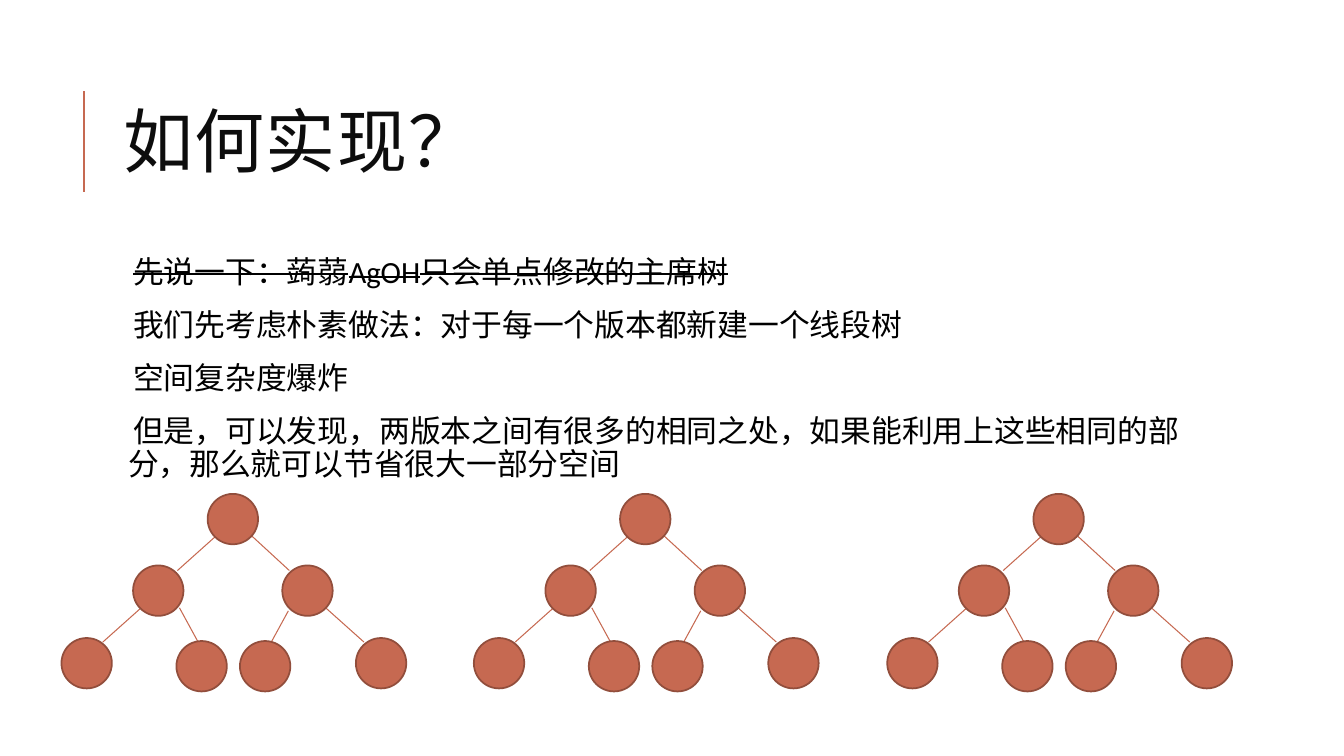
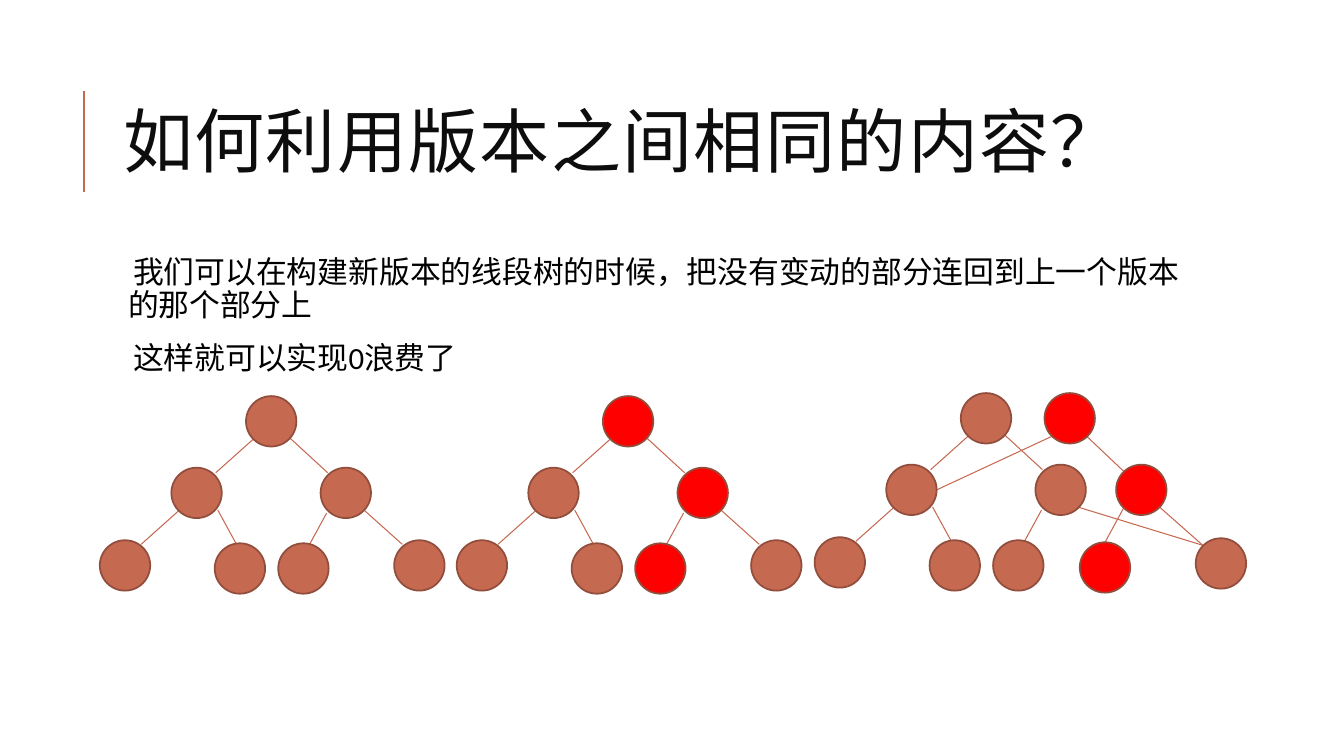
import pptx
import pptx.util
import pptx.dml.color
import pptx.enum.dml
import pptx.enum.lang
import pptx.enum.shapes
import pptx.enum.text
import pptx.oxml
from dataclasses import dataclass

Inches, Pt = pptx.util.Inches, pptx.util.Pt


@dataclass(frozen=True)
class Theme:
    rust: str = "C66951"
    rim: str = "924E3C"
    red: str = "FF0000"
    ink: str = "0D0D0D"
    black: str = "000000"
    head_font: str = "Cabin"
    body_font: str = "Calibri"
    head_size: float = 50
    body_size: float = 22
    rule: float = 1.5
    edge: float = 0.75
    ring: float = 1.25


look = Theme()

# Content: a tree is (left and top of its root, red nodes, has a new version)
pages = [
    dict(
        title="如何实现？",
        lines=[
            ("先说一下：蒟蒻AgOH只会单点修改的主席树", True),
            ("我们先考虑朴素做法：对于每一个版本都新建一个线段树", False),
            ("空间复杂度爆炸", False),
            ("但是，可以发现，两版本之间有很多的相同之处，"
             "如果能利用上这些相同的部分，那么就可以节省很大一部分空间", False),
        ],
        trees=[((2.06, 4.9), "", False), ((6.15, 4.9), "", False),
               ((10.25, 4.9), "", False)],
    ),
    dict(
        title="如何利用版本之间相同的内容？",
        lines=[
            ("我们可以在构建新版本的线段树的时候，"
             "把没有变动的部分连回到上一个版本的那个部分上", False),
            ("这样就可以实现0浪费了", False),
        ],
        trees=[((2.44, 3.93), "", False),
               ((5.98, 3.93), ("root", "right", "rl"), False),
               ((9.53, 3.9), ("new root", "new right", "new leaf"), True)],
    ),
]

# Tree geometry, counted from the left and top of the root
size = 0.5
nodes = {"root": (0, 0), "left": (-0.74, 0.71), "right": (0.74, 0.71),
         "ll": (-1.45, 1.43), "lr": (-0.31, 1.46),
         "rl": (0.32, 1.46), "rr": (1.47, 1.43)}
edges = {"left": (0.08, 0.42, -0.3, 0.76), "right": (0.44, 0.42, 0.81, 0.76),
         "ll": (-0.66, 1.13, -1.04, 1.47), "lr": (-0.28, 1.13, -0.04, 1.57),
         "rl": (0.8, 1.16, 0.56, 1.6), "rr": (1.17, 1.13, 1.55, 1.47)}

# The new version moves the shared leaf and adds its own path
new_nodes = {"rr": (2.33, 1.44), "new root": (0.83, 0),
             "new right": (1.54, 0.71), "new leaf": (1.18, 1.48)}
new_edges = {"rr": (1.16, 1.13, 2.4, 1.51),
             "new left": (0.9, 0.43, -0.24, 0.96),
             "new right": (1.25, 0.43, 1.62, 0.78),
             "new leaf": (1.62, 1.13, 1.43, 1.48),
             "new rr": (1.97, 1.13, 2.4, 1.51)}


def tint(code):
    return pptx.dml.color.RGBColor.from_string(code)


def write(par, text, font, pts, color, space=0, strike=False, lead=1.0):
    par.alignment = pptx.enum.text.PP_ALIGN.LEFT
    par.line_spacing = lead
    run = par.add_run()
    run.text = text
    run.font.name, run.font.size = font, Pt(pts)
    run.font.color.rgb = tint(color)
    run.font.language_id = pptx.enum.lang.MSO_LANGUAGE_ID.SIMPLIFIED_CHINESE
    props = run.font._element
    if space:
        props.set("spc", str(int(space * 100)))
    if strike:
        props.set("strike", "sngStrike")


def bullet(par):
    props = par._p.get_or_add_pPr()
    props.set("marL", str(Inches(0.1)))
    props.set("indent", str(Inches(-0.1)))
    mark = pptx.oxml.parse_xml(
        '<a:buChar xmlns:a="http://schemas.openxmlformats.org/'
        'drawingml/2006/main" char=" "/>')
    props.append(mark)


def link(slide, ends, color, width):
    line = slide.shapes.add_connector(
        pptx.enum.shapes.MSO_CONNECTOR.STRAIGHT, *map(Inches, ends))
    line.line.color.rgb = tint(color)
    line.line.width = Pt(width)
    line._element.spPr.append(pptx.oxml.parse_xml(
        '<a:effectLst xmlns:a="http://schemas.openxmlformats.org/'
        'drawingml/2006/main"/>'))


def disc(slide, left, top, color):
    ball = slide.shapes.add_shape(
        pptx.enum.shapes.MSO_SHAPE.OVAL,
        *map(Inches, (left, top, size, size)))
    ball.shadow.inherit = False
    ball.fill.solid()
    ball.fill.fore_color.rgb = tint(color)
    ball.line.color.rgb = tint(look.rim)
    ball.line.width = Pt(look.ring)


def tree(slide, root, reds, grown):
    left, top = root
    spots = {**nodes, **new_nodes} if grown else nodes
    links = {**edges, **new_edges} if grown else edges
    for x1, y1, x2, y2 in links.values():
        link(slide, (left + x1, top + y1, left + x2, top + y2),
             look.rust, look.edge)
    for name, (x, y) in spots.items():
        disc(slide, left + x, top + y, look.red if name in reds else look.rust)


def frame(slide, title):
    link(slide, (0.83, 1.9, 0.83, 0.9), look.rust, look.rule)
    head = slide.shapes.title
    head.left, head.top, head.width, head.height = map(
        Inches, (1.12, 0.64, 10.63, 1.64))
    text = head.text_frame
    text.auto_size = pptx.enum.text.MSO_AUTO_SIZE.NONE
    text.vertical_anchor = pptx.enum.text.MSO_ANCHOR.MIDDLE
    write(text.paragraphs[0], title, look.head_font, look.head_size,
          look.ink, space=1, lead=0.8)


def body(slide, lines):
    box = slide.shapes.add_textbox(*map(Inches, (1.12, 2.5, 10.63, 4.4)))
    text = box.text_frame
    text.word_wrap = True
    text.margin_left = text.margin_right = Inches(0.05)
    text.margin_top = text.margin_bottom = Inches(0.05)
    for row, (words, struck) in enumerate(lines):
        par = text.add_paragraph() if row else text.paragraphs[0]
        write(par, words, look.body_font, look.body_size, look.black,
              strike=struck, lead=0.9)
        par.space_before, par.space_after = Pt(12), Pt(2)
        bullet(par)


# Build the slides
deck = pptx.Presentation()
deck.slide_width, deck.slide_height = Inches(13.33), Inches(7.5)
for page in pages:
    slide = deck.slides.add_slide(deck.slide_layouts[5])
    frame(slide, page["title"])
    body(slide, page["lines"])
    for root, reds, grown in page["trees"]:
        tree(slide, root, reds, grown)
deck.save("out.pptx")
